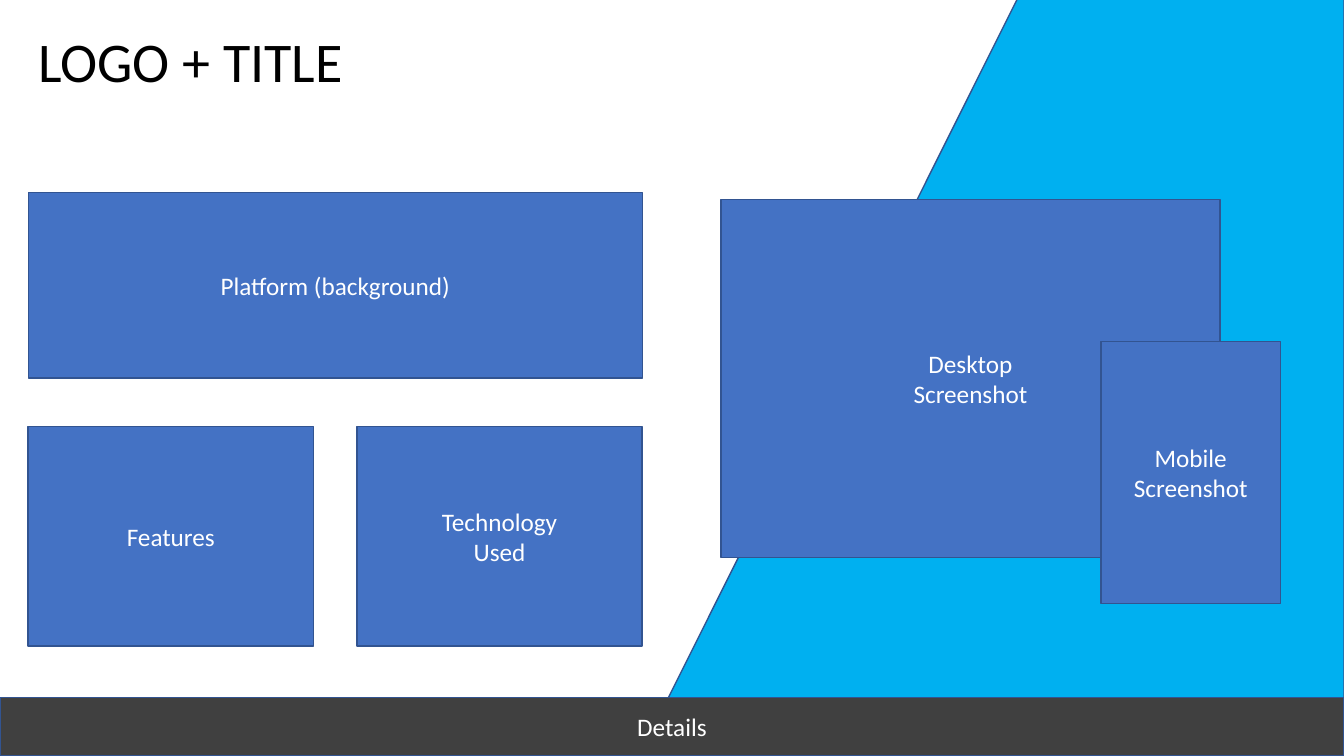
import pptx
import pptx.util
import pptx.dml.color
import pptx.enum.shapes
import pptx.enum.text

Inches, Pt = pptx.util.Inches, pptx.util.Pt
SHAPE = pptx.enum.shapes.MSO_SHAPE
ALIGN = pptx.enum.text.PP_ALIGN
ANCHOR = pptx.enum.text.MSO_ANCHOR

COLORS = {
    "sky": "00B0F0",
    "panel": "4472C4",
    "outline": "325491",
    "footer": "404040",
    "light": "FFFFFF",
    "dark": "000000",
}
SLIDE_W, SLIDE_H = 13.33, 7.5
MARGIN = 0.28
PANEL_W, PANEL_H = 2.83, 2.18
GUTTER = 0.43
PLATFORM_W = 2 * PANEL_W + GUTTER
PANEL_TOP = 4.23
FOOTER_H = 0.58
WEDGE_W, WEDGE_H = 6.99, 14


def color(name):
    return pptx.dml.color.RGBColor.from_string(COLORS[name])


def add_block(kind, left, top, width, height, fill, label=""):
    """Add an outlined shape with a centred label, one paragraph per line."""
    block = slide.shapes.add_shape(
        kind, Inches(left), Inches(top), Inches(width), Inches(height))
    block.shadow.inherit = False
    block.fill.solid()
    block.fill.fore_color.rgb = color(fill)
    block.line.color.rgb = color("outline")
    block.line.width = Pt(1)
    if label:
        frame = block.text_frame
        frame.text = label
        frame.word_wrap = True
        frame.vertical_anchor = ANCHOR.MIDDLE
        for paragraph in frame.paragraphs:
            paragraph.alignment = ALIGN.CENTER
            font = paragraph.runs[0].font
            font.name, font.size = "Calibri", Pt(18)
            font.color.rgb = color("light")
    return block


deck = pptx.Presentation()
deck.slide_width, deck.slide_height = Inches(SLIDE_W), Inches(SLIDE_H)
slide = deck.slides.add_slide(deck.slide_layouts.get_by_name("Title Only"))

# Title
title = slide.shapes.title
title.left, title.top = Inches(MARGIN), Inches(0.21)
title.width, title.height = Inches(3.25), Inches(0.77)
heading = title.text_frame
heading.text = "LOGO + TITLE"
heading.word_wrap = False
heading.auto_size = pptx.enum.text.MSO_AUTO_SIZE.SHAPE_TO_FIT_TEXT
heading.vertical_anchor = ANCHOR.TOP
heading.paragraphs[0].alignment = ALIGN.LEFT
heading_font = heading.paragraphs[0].runs[0].font
heading_font.name, heading_font.size = "Calibri", Pt(40)
heading_font.color.rgb = color("dark")

# Slanted backdrop, anchored in the bottom right corner
wedge = add_block(SHAPE.ISOSCELES_TRIANGLE, SLIDE_W - WEDGE_W, SLIDE_H - WEDGE_H,
                  WEDGE_W, WEDGE_H, "sky")
wedge.adjustments[0] = 1

add_block(SHAPE.RECTANGLE, 0, SLIDE_H - FOOTER_H, SLIDE_W, FOOTER_H, "footer", "Details")

# Content panels, back to front
panels = [
    ("Desktop\nScreenshot", 7.15, 1.98, 4.95, 3.55),
    ("Features", MARGIN, PANEL_TOP, PANEL_W, PANEL_H),
    ("Technology\nUsed", MARGIN + PANEL_W + GUTTER, PANEL_TOP, PANEL_W, PANEL_H),
    ("Mobile\nScreenshot", 10.92, 3.39, 1.78, 2.6),
    ("Platform (background)", MARGIN, 1.91, PLATFORM_W, 1.84),
]
for label, left, top, width, height in panels:
    add_block(SHAPE.RECTANGLE, left, top, width, height, "panel", label)

deck.save("out.pptx")
